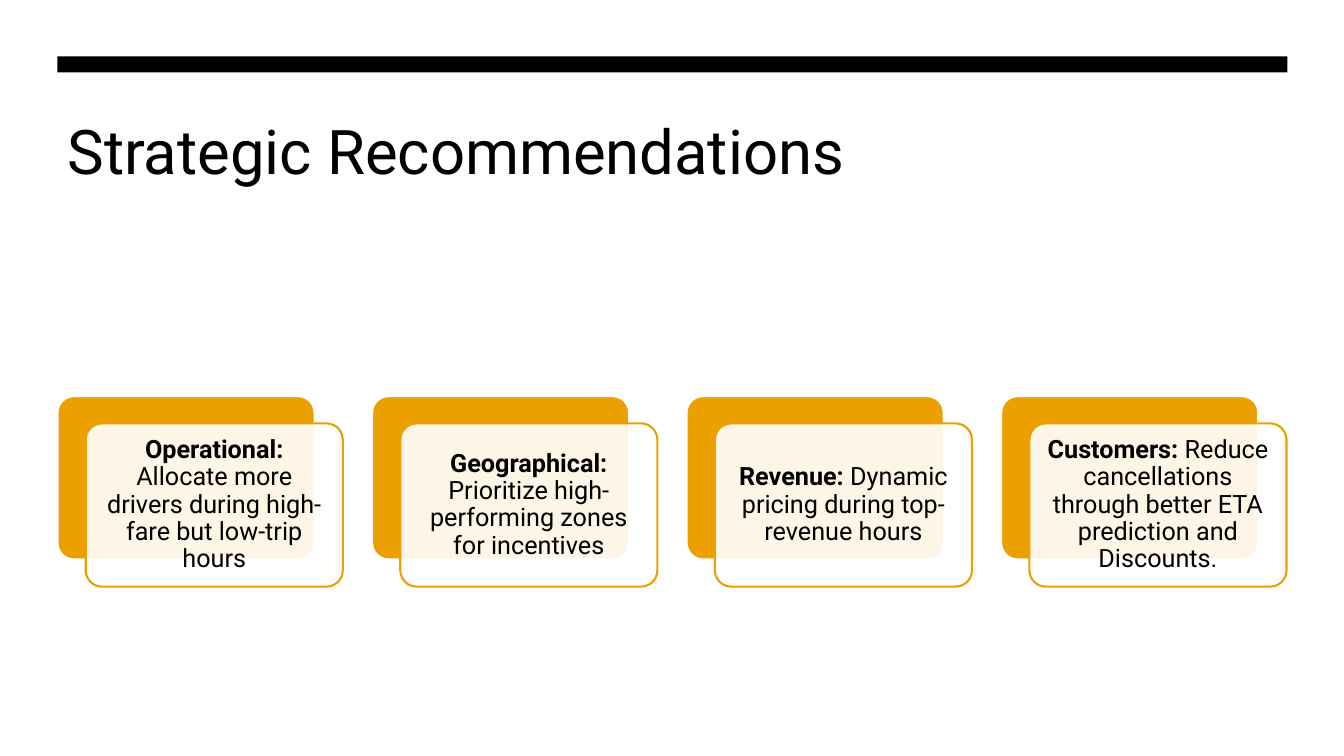
from pptx import Presentation
from pptx.dml.color import RGBColor
from pptx.enum.shapes import MSO_SHAPE as SHAPE
from pptx.enum.text import MSO_ANCHOR as ANCHOR, MSO_AUTO_SIZE as FIT, PP_ALIGN as ALIGN
from pptx.oxml.ns import qn
from pptx.util import Inches, Pt
from lxml import etree

FONT = "Roboto"
BLACK = RGBColor(0x00, 0x00, 0x00)
WHITE = RGBColor(0xFF, 0xFF, 0xFF)
AMBER = RGBColor(0xEB, 0xA0, 0x00)

LEFT, WIDTH = 0.57, 12.2
CARD_TOP, CARD_W, CARD_H, CARD_STEP = 3.93, 2.55, 1.62, 3.12
FRONT_DX, FRONT_DY = 0.28, 0.27

RECOMMENDATIONS = [
    ("Operational: ", "Allocate more drivers during high-fare but low-trip hours"),
    ("Geographical: ", "Prioritize high-performing zones for incentives"),
    ("Revenue: ", "Dynamic pricing during top-revenue hours"),
    ("Customers: ", "Reduce cancellations through better ETA prediction and Discounts."),
]


def add_text(p, text, size=18, bold=False, color=BLACK, align=ALIGN.CENTER, spacing=0.9):
    """Append a formatted run to a paragraph."""
    p.alignment = align
    p.line_spacing = spacing
    r = p.add_run()
    r.text = text
    r.font.name = FONT
    r.font.size = Pt(size)
    r.font.bold = bold
    r.font.color.rgb = color


def add_box(slide, kind, x, y, w, h, fill, line=None, alpha=None):
    """Add a filled preset shape with an optional outline and opacity percentage."""
    sp = slide.shapes.add_shape(kind, Inches(x), Inches(y), Inches(w), Inches(h))
    sp.shadow.inherit = False
    sp.fill.solid()
    sp.fill.fore_color.rgb = fill
    if alpha is not None:
        clr = sp.fill._xPr.find(qn("a:solidFill"))[0]
        etree.SubElement(clr, qn("a:alpha"), val=str(alpha * 1000))
    if line is None:
        sp.line.fill.background()
    else:
        sp.line.color.rgb = line
        sp.line.width = Pt(1.5)
    return sp


def add_title(slide, text):
    """Place and format the title placeholder."""
    title = slide.shapes.title
    title.left, title.top = Inches(LEFT), Inches(1.07)
    title.width, title.height = Inches(WIDTH), Inches(1.6)
    tf = title.text_frame
    tf.word_wrap = True
    tf.auto_size = FIT.NONE
    tf.vertical_anchor = ANCHOR.TOP
    add_text(tf.paragraphs[0], text, size=44, align=ALIGN.LEFT, spacing=1.0)


def add_card(slide, x, heading, body):
    """Add an amber backing with an offset translucent text card."""
    front_x, front_y = x + FRONT_DX, CARD_TOP + FRONT_DY
    back = add_box(slide, SHAPE.ROUNDED_RECTANGLE, x, CARD_TOP, CARD_W, CARD_H,
                   AMBER, line=WHITE)
    front = add_box(slide, SHAPE.ROUNDED_RECTANGLE, front_x, front_y, CARD_W, CARD_H,
                    WHITE, line=AMBER, alpha=90)
    for sp in (back, front):
        sp.adjustments[0] = 0.1
    tf = front.text_frame
    tf.word_wrap = True
    tf.vertical_anchor = ANCHOR.MIDDLE
    tf.margin_left = tf.margin_right = tf.margin_top = tf.margin_bottom = Inches(0.07)
    p = tf.paragraphs[0]
    add_text(p, heading, bold=True)
    add_text(p, body)


def main():
    """Build and save the slide."""
    prs = Presentation()
    prs.slide_width, prs.slide_height = Inches(13.33), Inches(7.5)
    slide = prs.slides.add_slide(prs.slide_layouts[5])
    add_title(slide, "Strategic Recommendations")
    add_box(slide, SHAPE.RECTANGLE, LEFT, 0.56, WIDTH, 0.16, BLACK)
    for i, (heading, body) in enumerate(RECOMMENDATIONS):
        add_card(slide, LEFT + i * CARD_STEP, heading, body)
    prs.save("out.pptx")


if __name__ == "__main__":
    main()
